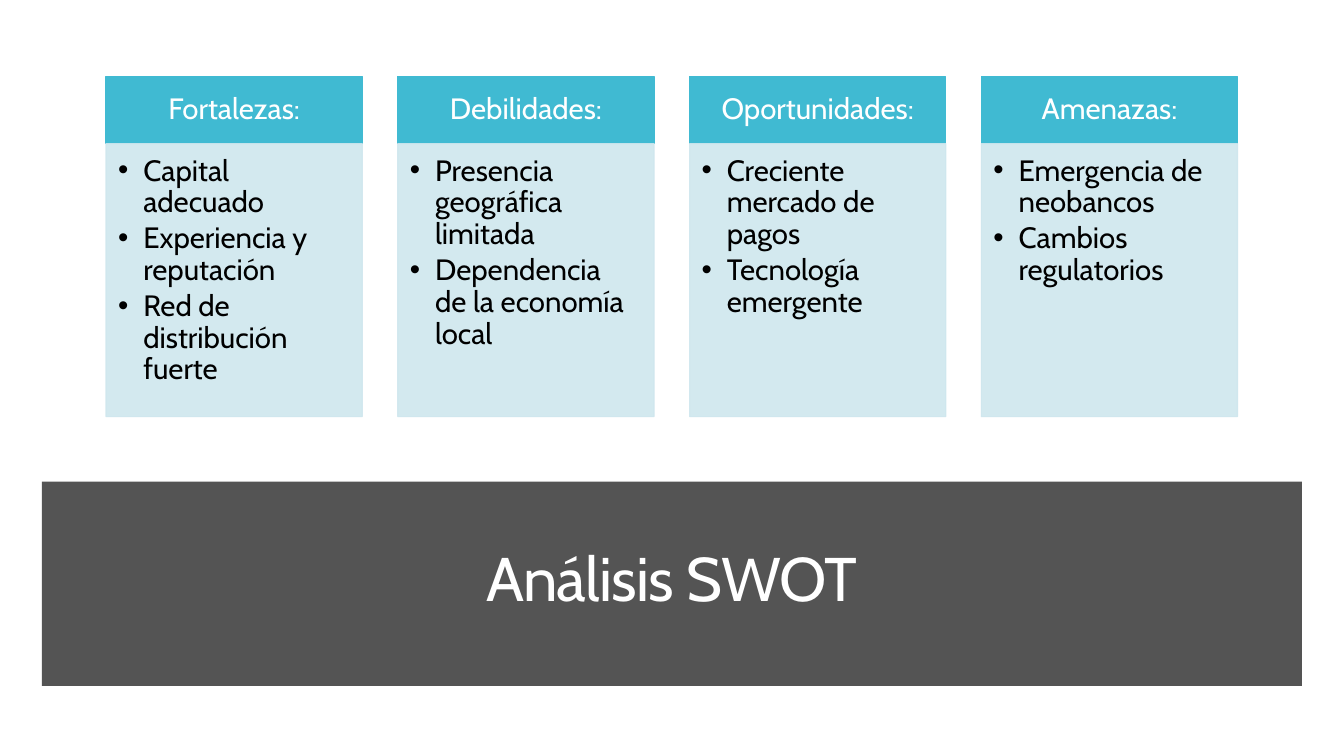
import pptx
import pptx.util
import pptx.dml.color
import pptx.enum.shapes
import pptx.enum.text
import pptx.oxml.ns
import lxml.etree
from dataclasses import dataclass

Pt = pptx.util.Pt
ALIGN = pptx.enum.text.PP_ALIGN
ANCHOR = pptx.enum.text.MSO_ANCHOR
qn = pptx.oxml.ns.qn


@dataclass(frozen=True)
class Theme:
    font: str = "Cabin"
    white: str = "FFFFFF"
    black: str = "000000"
    band: str = "545454"
    header: str = "40BAD2"
    panel: str = "CFE7EE"
    title_size: float = 44
    text_size: float = 21


theme = Theme()


def add_box(left, top, width, height, color, outline=True, opacity=100):
    shape = slide.shapes.add_shape(
        pptx.enum.shapes.MSO_SHAPE.RECTANGLE, Pt(left), Pt(top), Pt(width), Pt(height))
    shape.shadow.inherit = False
    shape.fill.solid()
    shape.fill.fore_color.rgb = pptx.dml.color.RGBColor.from_string(color)
    if outline:
        shape.line.color.rgb = pptx.dml.color.RGBColor.from_string(color)
        shape.line.width = Pt(0.85)
    else:
        shape.line.fill.background()
    if opacity < 100:
        for color_element in shape.element.spPr.iter(qn("a:srgbClr")):
            alpha = lxml.etree.SubElement(color_element, qn("a:alpha"))
            alpha.set("val", str(opacity * 1000))
    return shape


def write_text(shape, text, size=theme.text_size, color=theme.white, align=ALIGN.CENTER,
               anchor=ANCHOR.MIDDLE, insets=(7.2, 3.6, 7.2, 3.6), space_after=0,
               tracking=0, bullet=None):
    frame = shape.text_frame
    frame.word_wrap = True
    frame.vertical_anchor = anchor
    frame.margin_left, frame.margin_top, frame.margin_right, frame.margin_bottom = map(Pt, insets)
    frame.text = text
    for paragraph in frame.paragraphs:
        paragraph.alignment = align
        paragraph.line_spacing = 0.9
        paragraph.space_after = Pt(space_after)
        run = paragraph.runs[0]
        run.font.name = theme.font
        run.font.size = Pt(size)
        run.font.color.rgb = pptx.dml.color.RGBColor.from_string(color)
        if tracking:
            run._r.get_or_add_rPr().set("spc", str(round(tracking * 100)))
        if bullet:
            properties = paragraph._p.get_or_add_pPr()
            properties.set("marL", str(Pt(18)))
            properties.set("indent", str(-Pt(18)))
            lxml.etree.SubElement(properties, qn("a:buFont")).set("typeface", "Arial")
            lxml.etree.SubElement(properties, qn("a:buChar")).set("char", bullet)


presentation = pptx.Presentation()
presentation.slide_width = Pt(960)
presentation.slide_height = Pt(540)
slide = presentation.slides.add_slide(presentation.slide_layouts[6])

add_box(30, 344, 900, 146, theme.band, outline=False)
title = slide.shapes.add_textbox(Pt(44), Pt(362), Pt(872), Pt(107.5))
write_text(title, "Análisis SWOT", size=theme.title_size, tracking=-0.6)

swot = {
    "Fortalezas:": ["Capital adecuado", "Experiencia y reputación", "Red de distribución fuerte"],
    "Debilidades:": ["Presencia geográfica limitada", "Dependencia de la economía local"],
    "Oportunidades:": ["Creciente mercado de pagos", "Tecnología emergente"],
    "Amenazas:": ["Emergencia de neobancos", "Cambios regulatorios"],
}
column_left, column_pitch, column_width = 75.8, 208.4, 183
header_top, header_height, panel_height = 54.9, 47.7, 195

for index, (heading, points) in enumerate(swot.items()):
    left = column_left + index * column_pitch
    header = add_box(left, header_top, column_width, header_height, theme.header)
    write_text(header, heading, insets=(11.5, 6.5, 11.5, 6.5))
    panel = add_box(left, header_top + header_height, column_width, panel_height,
                    theme.panel, opacity=90)
    write_text(panel, "\n".join(points), color=theme.black, align=ALIGN.LEFT,
               anchor=ANCHOR.TOP, insets=(8.6, 8.6, 11.5, 13), space_after=3, bullet="•")

presentation.save("out.pptx")
